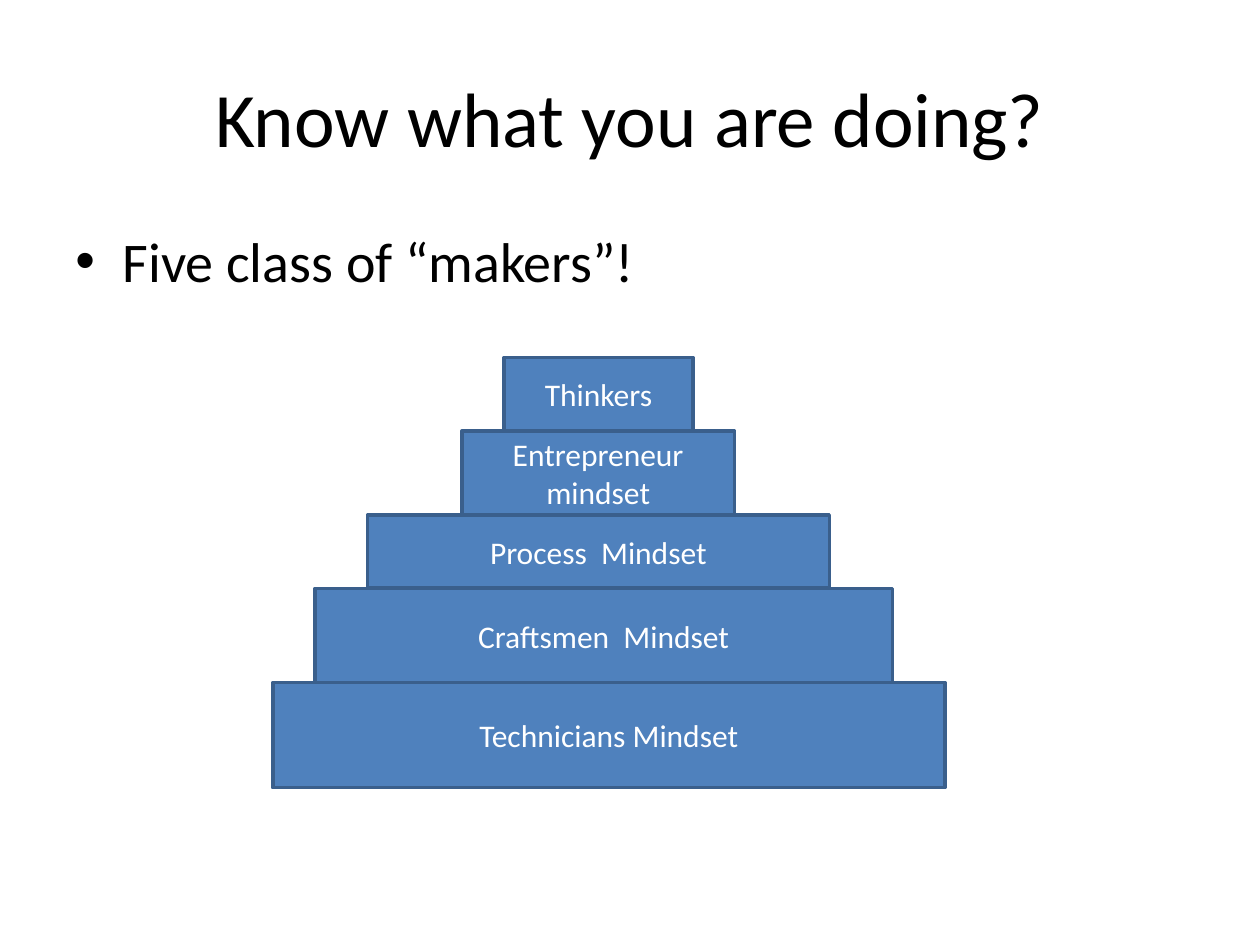
import pptx
import pptx.util
import pptx.dml.color
import pptx.enum.shapes
import pptx.enum.text
from lxml import etree

Cm, Pt = pptx.util.Cm, pptx.util.Pt
ALIGN = pptx.enum.text.PP_ALIGN
ANCHOR = pptx.enum.text.MSO_ANCHOR

# Content
TITLE = "Know what you are doing?"
BULLET = "Five class of “makers”!"
# Pyramid steps from the bottom up: text, left, width, height (cm)
STEPS = [
    ("Technicians Mindset", 5.5, 13.55, 2.12),
    ("Craftsmen  Mindset", 6.35, 11.64, 1.9),
    ("Process  Mindset", 7.41, 9.31, 1.48),
    ("Entrepreneur mindset", 9.31, 5.5, 1.69),
    ("Thinkers", 10.16, 3.81, 1.48),
]
PYRAMID_BOTTOM = 15.88
MARGIN, TEXT_WIDTH = 1.27, 22.86
BLACK, WHITE, BLUE, DARK_BLUE = "000000", "FFFFFF", "4F81BD", "3A5F8C"


def rgb(value):
    return pptx.dml.color.RGBColor.from_string(value)


def write(sp, text, size, color, align, anchor):
    tf = sp.text_frame
    tf.word_wrap = True
    tf.vertical_anchor = anchor
    p = tf.paragraphs[0]
    p.alignment = align
    r = p.add_run()
    r.text = text
    r.font.name = "Calibri"
    r.font.size = Pt(size)
    r.font.color.rgb = rgb(color)
    return p


def add_bullet(p, char, indent):
    pPr = p._p.get_or_add_pPr()
    pPr.set("marL", str(indent))
    pPr.set("indent", str(-indent))
    ns = pptx.oxml.ns.qn
    etree.SubElement(pPr, ns("a:buFont")).set("typeface", "Arial")
    etree.SubElement(pPr, ns("a:buChar")).set("char", char)


prs = pptx.Presentation()
prs.slide_width, prs.slide_height = Cm(25.4), Cm(19.05)
s = prs.slides.add_slide(prs.slide_layouts[6])

# Title
sp = s.shapes.add_textbox(Cm(MARGIN), Cm(0.76), Cm(TEXT_WIDTH), Cm(3.18))
write(sp, TITLE, 44, BLACK, ALIGN.CENTER, ANCHOR.MIDDLE)

# Bullet line
sp = s.shapes.add_textbox(Cm(MARGIN), Cm(4.45), Cm(TEXT_WIDTH), Cm(12.57))
p = write(sp, BULLET, 32, BLACK, ALIGN.LEFT, ANCHOR.TOP)
add_bullet(p, "•", Cm(0.95))

# Pyramid, each step resting on the one below
top = PYRAMID_BOTTOM
for text, left, width, height in STEPS:
    top -= height
    sp = s.shapes.add_shape(pptx.enum.shapes.MSO_SHAPE.RECTANGLE,
                            Cm(left), Cm(top), Cm(width), Cm(height))
    sp.shadow.inherit = False
    sp.fill.solid()
    sp.fill.fore_color.rgb = rgb(BLUE)
    sp.line.color.rgb = rgb(DARK_BLUE)
    sp.line.width = Pt(2)
    write(sp, text, 18, WHITE, ALIGN.CENTER, ANCHOR.MIDDLE)

prs.save("out.pptx")
